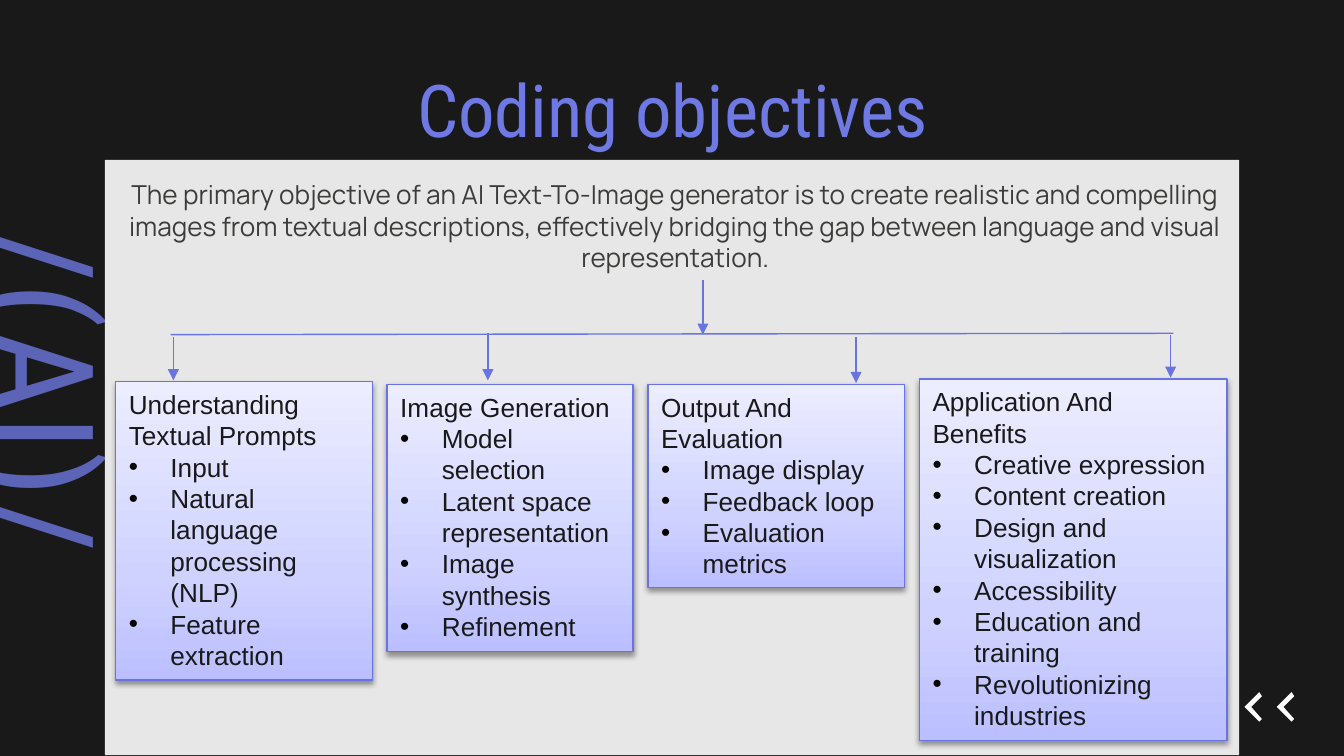
from lxml.etree import SubElement
from pptx import Presentation
from pptx.dml.color import RGBColor
from pptx.enum.shapes import MSO_CONNECTOR, MSO_SHAPE
from pptx.enum.text import MSO_ANCHOR, MSO_AUTO_SIZE, PP_ALIGN
from pptx.oxml.ns import qn
from pptx.util import Inches, Pt

TITLE = "Coding objectives"
INTRO = ("The primary objective of an AI Text-To-Image generator is to create "
         "realistic and compelling images from textual descriptions, effectively "
         "bridging the gap between language and visual representation.")
MOTIF = "/(AI)/"
CARDS = [
    ((0.86, 2.84, 1.91, 2.22), "Understanding Textual Prompts",
     ["Input", "Natural language processing (NLP)", "Feature extraction"]),
    ((2.88, 2.86, 1.83, 1.99), "Image Generation",
     ["Model selection", "Latent space representation", "Image synthesis",
      "Refinement"]),
    ((4.82, 2.86, 1.91, 1.51), "Output And Evaluation",
     ["Image display", "Feedback loop", "Evaluation metrics"]),
    ((6.84, 2.82, 2.29, 2.69), "Application And Benefits",
     ["Creative expression", "Content creation", "Design and visualization",
      "Accessibility", "Education and training", "Revolutionizing industries"]),
]
RAIL = (1.27, 2.49, 8.73, 2.48)
DROPS = [(5.23, 2.08, 2.49), (1.29, 2.51, 2.83), (3.63, 2.48, 2.83),
         (6.37, 2.51, 2.85), (8.71, 2.49, 2.81)]
MARKS = [9.26, 9.5]
MARK = [(0.11, 0), (0, 0.11), (0.11, 0.22), (0.13, 0.2), (0.05, 0.11), (0.13, 0.03)]

THEME = {
    "back": "191919", "panel": "E7E7E7", "mark": "FFFFFF", "motif": "5C64B8",
    "title": "6E79E4", "intro": "3C3C3B", "ink": "191919", "line": "6974E2",
    "dot": "000000", "fade": [(0, "BBBFFF"), (35, "CFD2FF"), (100, "ECEDFF")],
    "head": "Roboto Condensed", "body": "Manrope", "list": "Arial",
    "huge": 79, "large": 39, "text": 14, "rule": 0.75,
}


def tint(name):
    return RGBColor.from_string(THEME[name])


def write(frame, lines, font, size, color, align=PP_ALIGN.LEFT, inset=0.1,
          anchor=MSO_ANCHOR.TOP, fit=MSO_AUTO_SIZE.NONE, space=1.0, left=0,
          bullets=False):
    frame.word_wrap, frame.auto_size = True, fit
    frame.vertical_anchor = anchor
    frame.margin_left = frame.margin_right = Inches(0.1)
    frame.margin_top = frame.margin_bottom = Inches(inset)
    for i, line in enumerate(lines):
        para = frame.add_paragraph() if i else frame.paragraphs[0]
        para.alignment, para.line_spacing = align, space
        para.space_before = para.space_after = Pt(0)
        run = para.add_run()
        run.text = line
        run.font.name, run.font.size = THEME[font], Pt(THEME[size])
        run.font.color.rgb = tint(color)
        props = para._p.get_or_add_pPr()
        props.set("marL", str(Inches(left)))
        props.set("indent", "0")
        if bullets and i:
            props.set("marL", str(Inches(0.31)))
            props.set("indent", str(-Inches(0.31)))
            ink = SubElement(props, qn("a:buClr"))
            SubElement(ink, qn("a:srgbClr"), val=THEME["dot"])
            SubElement(props, qn("a:buFont"), typeface="Arial")
            SubElement(props, qn("a:buChar"), char="•")


def place(shape, box):
    shape.left, shape.top, shape.width, shape.height = map(Inches, box)


def paint(shape, color):
    shape.shadow.inherit = False
    shape.fill.solid()
    shape.fill.fore_color.rgb = tint(color)
    shape.line.fill.background()


def wire(shapes, x1, y1, x2, y2, arrow=False):
    link = shapes.add_connector(MSO_CONNECTOR.STRAIGHT, *map(Inches, (x1, y1, x2, y2)))
    link.line.color.rgb, link.line.width = tint("line"), Pt(THEME["rule"])
    if arrow:
        SubElement(link.line._get_or_add_ln(), qn("a:tailEnd"), type="triangle")
    SubElement(link._element.spPr, qn("a:effectLst"))


def card(shapes, box, head, items):
    shape = shapes.add_shape(MSO_SHAPE.RECTANGLE, *map(Inches, box))
    shape.shadow.inherit = False
    shape.fill.gradient()
    shape.fill.gradient_angle = 90
    props = shape._element.spPr
    stops = props.find(".//" + qn("a:gsLst"))
    stops.clear()
    for pos, color in THEME["fade"]:
        stop = SubElement(stops, qn("a:gs"), pos=str(pos * 1000))
        SubElement(stop, qn("a:srgbClr"), val=color)
    shape.line.color.rgb, shape.line.width = tint("line"), Pt(THEME["rule"])
    shade = SubElement(props.find(qn("a:effectLst")), qn("a:outerShdw"),
                       blurRad=str(Pt(3.1)), dist=str(Pt(1.6)), dir="5400000",
                       rotWithShape="0")
    SubElement(SubElement(shade, qn("a:srgbClr"), val="000000"),
               qn("a:alpha"), val="38000")
    write(shape.text_frame, [head, *items], "list", "text", "ink", inset=0.05,
          fit=MSO_AUTO_SIZE.SHAPE_TO_FIT_TEXT, bullets=True)


def main():
    deck = Presentation()
    deck.slide_width, deck.slide_height = Inches(10), Inches(10 * 9 / 16)
    slide = deck.slides.add_slide(deck.slide_layouts[0])
    slide.background.fill.solid()
    slide.background.fill.fore_color.rgb = tint("back")
    shapes = slide.shapes

    motif = shapes.add_textbox(*map(Inches, (-1.68, 2.99, 4.03, 1.25)))
    motif.rotation = 90
    write(motif.text_frame, [MOTIF], "head", "huge", "motif", space=0.9)
    panel = shapes.add_shape(MSO_SHAPE.RECTANGLE, *map(Inches, (0.78, 1.19, 8.44, 4.43)))
    paint(panel, "panel")
    for x in MARKS:
        points = [(Inches(x + dx), Inches(5.15 + dy)) for dx, dy in MARK]
        pen = shapes.build_freeform(*points[0])
        pen.add_line_segments(points[1:], close=True)
        paint(pen.convert_to_shape(), "mark")

    title, intro = shapes.title, slide.placeholders[1]
    for holder in (intro, title):
        shapes._spTree.append(holder._element)
    place(intro, (0.45, 1.23, 9, 4.39))
    write(intro.text_frame, [INTRO], "body", "text", "intro",
          align=PP_ALIGN.CENTER, left=0.15)
    place(title, (0.79, 0.49, 8.43, 0.63))
    write(title.text_frame, [TITLE], "head", "large", "title",
          align=PP_ALIGN.CENTER, anchor=MSO_ANCHOR.MIDDLE)

    wire(shapes, *RAIL)
    for x, top, end in DROPS:
        wire(shapes, x, top, x, end, arrow=True)
    for box, head, items in CARDS:
        card(shapes, box, head, items)
    deck.save("out.pptx")


if __name__ == "__main__":
    main()
